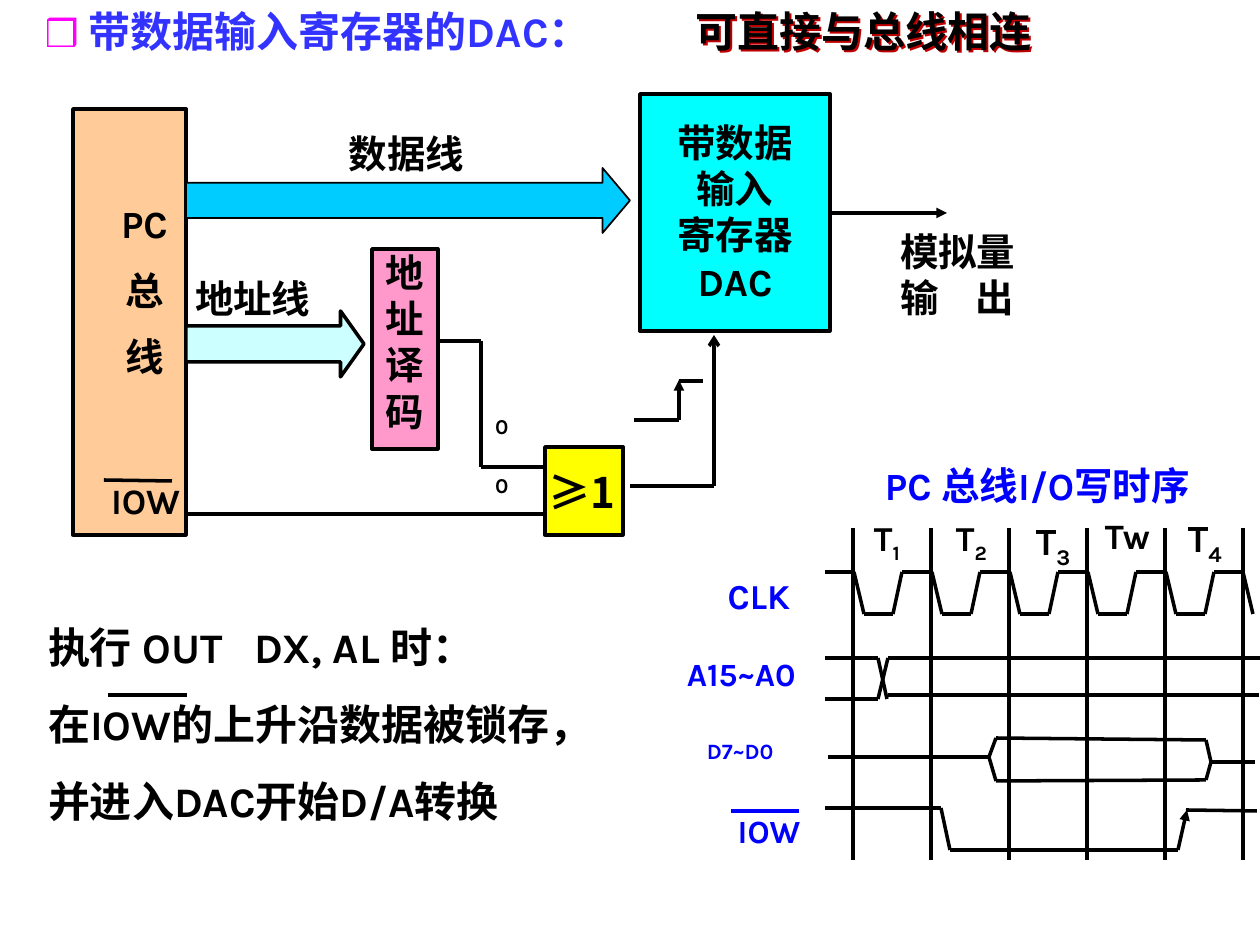
from itertools import pairwise

from lxml.etree import SubElement
from pptx import Presentation
from pptx.dml.color import RGBColor
from pptx.enum.shapes import MSO_CONNECTOR as Connector, MSO_SHAPE as Shape
from pptx.enum.text import MSO_ANCHOR as Anchor, PP_ALIGN as Align
from pptx.oxml.ns import qn
from pptx.util import Emu, Pt

SCALE = 914400 / 126
LATIN, HAN = "Karla", "Noto Sans CJK SC"
STEP = 78
COLORS = {
    "ink": "000000", "label": "0000FF", "heading": "3333FF", "bullet": "FF00FF",
    "shade": "C00000", "bus": "FFCC99", "decoder": "FF99CC", "dac": "00FFFF",
    "gate": "FFFF00", "data": "00CCFF", "address": "CCFFFF",
}


def px(value):
    return Emu(round(value * SCALE))


def rgb(name):
    return RGBColor.from_string(COLORS[name])


def child(parent, tag, **attributes):
    return SubElement(parent, qn(tag), {key: str(value) for key, value in attributes.items()})


def add_span(para, text, size, color, font=LATIN, sub=False):
    span = para.add_run()
    span.text = text
    span.font.size = Pt(size)
    span.font.bold = True
    span.font.name = font
    span.font.color.rgb = rgb(color)
    child(span.font._element, "a:ea", typeface=font)
    if sub:
        span.font._element.set("baseline", "-25000")


def add_bullet(para, indent):
    props = para._p.get_or_add_pPr()
    props.set("marL", str(px(indent)))
    props.set("indent", str(-px(indent)))
    child(child(props, "a:buClr"), "a:srgbClr", val=COLORS["bullet"])
    child(props, "a:buSzPct", val=90000)
    child(props, "a:buFont", typeface=HAN)
    child(props, "a:buChar", char="❒")


def write(shape, paras, size=22, color="ink", font=LATIN, align=Align.LEFT, gap=0,
          spacing=None, wrap=True, inset=(0, 0), tab=None, bullet=None):
    frame = shape.text_frame
    frame.word_wrap = wrap
    frame.vertical_anchor = Anchor.TOP
    frame.margin_left = frame.margin_right = px(inset[0])
    frame.margin_top, frame.margin_bottom = px(inset[1]), 0
    for index, spans in enumerate(paras):
        para = frame.add_paragraph() if index else frame.paragraphs[0]
        para.alignment = align
        if spacing:
            para.line_spacing = spacing
        if index and gap:
            para.space_before = Pt(gap)
        if bullet:
            add_bullet(para, bullet)
        if tab:
            tabs = child(para._p.get_or_add_pPr(), "a:tabLst")
            child(tabs, "a:tab", pos=px(tab), algn="l")
        for span in [(spans, {})] if isinstance(spans, str) else spans:
            add_span(para, span[0], **{"size": size, "color": color, "font": font, **span[1]})


def add_text(page, at, *paras, **style):
    box = page.shapes.add_textbox(*map(px, at))
    write(box, paras, **style)
    return box


def add_block(page, kind, at, fill, weight=2, adjust=()):
    block = page.shapes.add_shape(kind, *map(px, at))
    block.shadow.inherit = False
    block.fill.solid()
    block.fill.fore_color.rgb = rgb(fill)
    block.line.color.rgb = rgb("ink")
    block.line.width = Pt(weight)
    for index, value in enumerate(adjust):
        block.adjustments[index] = value
    return block


def trace(page, *points, color="ink", weight=2, head=None):
    for start, end in pairwise(points):
        line = page.shapes.add_connector(Connector.STRAIGHT, *map(px, start + end))
        line.line.color.rgb = rgb(color)
        line.line.width = Pt(weight)
        if head and end == points[-1]:
            child(line.line._get_or_add_ln(), "a:tailEnd", type=head)
        child(line._element.spPr, "a:effectLst")


def add_headings(page):
    add_text(page, (32, 0, 605, 113), [("带数据输入寄存器的DAC：", {})], size=24,
             color="heading", inset=(13, 6), bullet=44)
    box = add_text(page, (683, 0, 400, 63), "可直接与总线相连", size=24, inset=(13, 6))
    effects = child(box._element.spPr, "a:effectLst")
    shadow = child(effects, "a:outerShdw", dist=px(2), dir=2700000, algn="ctr", rotWithShape=0)
    child(shadow, "a:srgbClr", val=COLORS["shade"])


def add_diagram(page):
    add_block(page, Shape.RECTANGLE, (73, 109, 113, 426), "bus")
    add_text(page, (113, 200, 63, 228), "PC", "总", "线", align=Align.CENTER, gap=11.7)
    add_text(page, (349, 130, 135, 49), "数据线")
    add_text(page, (84, 479, 96, 43), "IOW", size=20.4, align=Align.RIGHT)
    trace(page, (104, 480), (172, 481))
    trace(page, (186, 514), (545, 514))

    decoder = add_block(page, Shape.RECTANGLE, (372, 249, 66, 200), "decoder")
    write(decoder, "地址译码", align=Align.CENTER)
    add_block(page, Shape.RIGHT_ARROW, (186, 311, 178, 66), "address", adjust=(0.545, 0.355))
    add_text(page, (195, 275, 194, 49), "地址线")
    trace(page, (437, 341), (481, 341), (481, 467), (543, 467))
    for top in (413, 472):
        add_text(page, (495, top, 20, 49), "0", size=12.1)

    register = add_block(page, Shape.RECTANGLE, (640, 94, 190, 237), "dac")
    write(register, ["带数据", "输入", "寄存器", "DAC"], align=Align.CENTER, inset=(0, 25))
    trace(page, (830, 213), (947, 213), head="triangle")
    add_text(page, (900, 228, 135, 96), "模拟量", "输\t出", tab=75)
    add_block(page, Shape.RIGHT_ARROW, (186, 168, 444, 65), "data", weight=1,
              adjust=(0.543, 0.422))

    trace(page, (630, 486), (714, 486), (714, 335), head="arrow")
    trace(page, (634, 420), (679, 420), (679, 380), head="triangle")
    trace(page, (679, 381), (703, 381))
    add_block(page, Shape.RECTANGLE, (545, 447, 78, 88), "gate")
    add_text(page, (549, 441, 67, 78), "≥1", size=24, font=HAN, spacing=1.5)


def add_timing_labels(page):
    add_text(page, (885, 462, 360, 53), "PC 总线I/O写时序", color="label")
    add_text(page, (687, 654, 139, 40), "A15~A0", size=18.5, color="label")
    add_text(page, (714, 575, 90, 52), "CLK", size=20, color="label", align=Align.CENTER)
    add_text(page, (719, 811, 100, 42), "IOW", size=18.5, color="label", align=Align.CENTER)
    add_text(page, (694, 732, 131, 40), "D7~D0", size=12.5, color="label", inset=(13, 6))
    trace(page, (731, 811), (799, 811), color="label")
    states = [(874, 517, "1", 20), (956, 517, "2", 20), (1036, 517, "3", 22), (1188, 514, "4", 22)]
    for left, top, number, size in states:
        add_text(page, (left, top, 48, 63), [("T", {}), (number, {"sub": True})], size=size)
    add_text(page, (1105, 514, 54, 71), "Tw", size=20.4)


def add_waveforms(page):
    for cycle in range(6):
        trace(page, (853 + STEP * cycle, 528), (853 + STEP * cycle, 860))

    clock = [(825, 572)]
    for cycle in range(5):
        left = 854 + STEP * cycle
        clock += [(left, 572), (left + 10, 614), (left + 39, 614), (left + 48, 572)]
    trace(page, *clock, (1243, 572), (1253, 614))

    trace(page, (825, 658), (878, 658), (887, 699))
    trace(page, (825, 699), (878, 699), (888, 658), (1260, 658))
    trace(page, (888, 695), (1259, 695))

    trace(page, (828, 757), (989, 757), (996, 738), (1206, 740), (1211, 762), (1255, 762))
    trace(page, (989, 757), (996, 781), (1206, 780), (1211, 762))

    trace(page, (825, 808), (941, 808), (950, 850), (1178, 850), (1187, 810), head="triangle")
    trace(page, (1186, 810), (1257, 811))


def add_explanation(page):
    first = [("执行 OUT\tDX, AL 时", {}), ("：", {"font": HAN})]
    add_text(page, (35, 616, 597, 217), first, "在IOW的上升沿数据被锁存，",
             "并进入DAC开始D/A转换", size=24, gap=15, wrap=False, inset=(13, 6), tab=206)
    trace(page, (108, 695), (187, 695), weight=2.25)


def main():
    deck = Presentation()
    deck.slide_width, deck.slide_height = px(1260), px(945)
    page = deck.slides.add_slide(deck.slide_layouts[6])
    add_timing_labels(page)
    add_waveforms(page)
    add_explanation(page)
    add_diagram(page)
    add_headings(page)
    deck.save("out.pptx")


if __name__ == "__main__":
    main()
